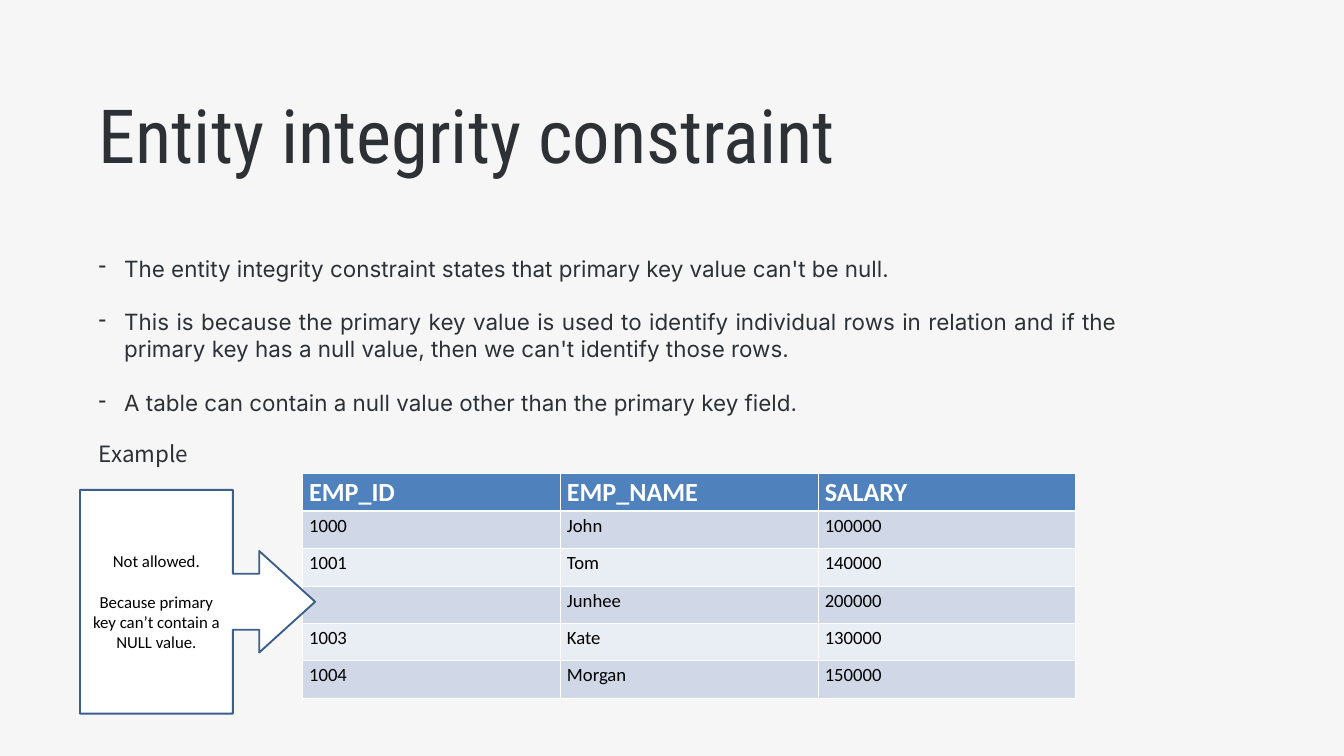
"""Build the slide that explains the entity integrity constraint."""
from dataclasses import dataclass

from lxml import etree
from pptx import Presentation
from pptx.dml.color import RGBColor
from pptx.enum.shapes import MSO_SHAPE
from pptx.enum.text import MSO_ANCHOR, MSO_AUTO_SIZE, PP_ALIGN
from pptx.oxml.ns import qn
from pptx.slide import Slide
from pptx.table import _Cell
from pptx.text.text import TextFrame, _Paragraph
from pptx.util import Inches, Pt

LEFT, CENTER, JUSTIFY = PP_ALIGN.LEFT, PP_ALIGN.CENTER, PP_ALIGN.JUSTIFY
MIDDLE = MSO_ANCHOR.MIDDLE
GROW = MSO_AUTO_SIZE.SHAPE_TO_FIT_TEXT
ARROW_CALLOUT = MSO_SHAPE.RIGHT_ARROW_CALLOUT

BACKGROUND = RGBColor(0xF6, 0xF6, 0xF6)
INK = RGBColor(0x2D, 0x31, 0x36)
BLACK = RGBColor(0x00, 0x00, 0x00)
WHITE = RGBColor(0xFF, 0xFF, 0xFF)
HEADER_BLUE = RGBColor(0x4F, 0x81, 0xBD)
BAND_DARK = RGBColor(0xD0, 0xD8, 0xE8)
BAND_LIGHT = RGBColor(0xE9, 0xED, 0xF4)
OUTLINE_BLUE = RGBColor(0x3A, 0x5F, 0x8C)

TITLE_FONT, BODY_FONT = "Roboto Condensed", "Inter"
EXAMPLE_FONT, TABLE_FONT = "Noto Sans CJK KR", "Calibri"
INDENT = Inches(0.38)


@dataclass(frozen=True)
class Box:
    """Position and size in inches."""

    left: float
    top: float
    width: float
    height: float

    def lengths(self) -> tuple[Inches, ...]:
        """Return the four values as lengths."""
        return tuple(Inches(v) for v in (self.left, self.top, self.width, self.height))


TITLE_BOX = Box(1.37, 1.28, 13.13, 1.45)
BODY_BOX = Box(1.37, 3.74, 15.34, 3.33)
TABLE_BOX = Box(4.5, 7.04, 11.51, 3.34)
CALLOUT_BOX = Box(1.19, 7.29, 3.5, 3.33)
CALLOUT_ADJUSTMENTS = (0.25, 0.227, 0.25, 0.65)

BULLETS = (
    "The entity integrity constraint states that primary key value can't be null.",
    "This is because the primary key value is used to identify individual rows in "
    "relation and if the primary key has a null value, then we can't identify those rows.",
    "A table can contain a null value other than the primary key field.",
)
EMPLOYEES = (
    ("EMP_ID", "EMP_NAME", "SALARY"),
    ("1000", "John", "100000"),
    ("1001", "Tom", "140000"),
    ("", "Junhee", "200000"),
    ("1003", "Kate", "130000"),
    ("1004", "Morgan", "150000"),
)
NOTES = ("Not allowed.", "Because primary key can’t contain a NULL value.")


def write(frame: TextFrame, text: str, *, font: str, size: float, color: RGBColor = INK,
          bold: bool = False, align: PP_ALIGN = LEFT, before: float = 0) -> _Paragraph:
    """Write a formatted paragraph, reusing the first one while it is empty."""
    first = frame.paragraphs[0]
    paragraph = frame.add_paragraph() if first.runs else first
    paragraph.alignment = align
    paragraph.space_before = Pt(before)
    run = paragraph.add_run()
    run.text = text
    run.font.name = font
    run.font.size = Pt(size)
    run.font.bold = bold
    run.font.color.rgb = color
    return paragraph


def add_dash(paragraph: _Paragraph) -> None:
    """Give a paragraph a hanging dash bullet."""
    properties = paragraph._p.get_or_add_pPr()
    properties.set("marL", str(INDENT))
    properties.set("indent", str(-INDENT))
    etree.SubElement(properties, qn("a:buChar"), char="-")


def add_text_box(slide: Slide, box: Box) -> TextFrame:
    """Add a wrapping text box that grows with its text."""
    frame = slide.shapes.add_textbox(*box.lengths()).text_frame
    frame.word_wrap = True
    frame.auto_size = GROW
    return frame


def style_cell(cell: _Cell, fill: RGBColor, top: float, bottom: float) -> None:
    """Set white borders and a solid fill on a cell."""
    properties = cell._tc.get_or_add_tcPr()
    for side, width in (("L", 1), ("R", 1), ("T", top), ("B", bottom)):
        line = etree.SubElement(properties, qn(f"a:ln{side}"), w=str(Pt(width)))
        solid = etree.SubElement(line, qn("a:solidFill"))
        etree.SubElement(solid, qn("a:srgbClr"), val=str(WHITE))
    cell.fill.solid()
    cell.fill.fore_color.rgb = fill


def add_employee_table(slide: Slide) -> None:
    """Add the banded employee table."""
    table = slide.shapes.add_table(
        len(EMPLOYEES), len(EMPLOYEES[0]), *TABLE_BOX.lengths()).table
    table.horz_banding = False
    for row, values in enumerate(EMPLOYEES):
        header = row == 0
        fill = HEADER_BLUE if header else BAND_DARK if row % 2 else BAND_LIGHT
        for column, value in enumerate(values):
            cell = table.cell(row, column)
            style_cell(cell, fill, top=3 if row == 1 else 1, bottom=3 if header else 1)
            if value:
                write(cell.text_frame, value, font=TABLE_FONT, size=28 if header else 20,
                      color=WHITE if header else BLACK, bold=header)


def add_callout(slide: Slide) -> None:
    """Add the arrow callout that points at the missing key."""
    shape = slide.shapes.add_shape(ARROW_CALLOUT, *CALLOUT_BOX.lengths())
    shape.shadow.inherit = False
    for index, value in enumerate(CALLOUT_ADJUSTMENTS):
        shape.adjustments[index] = value
    shape.fill.solid()
    shape.fill.fore_color.rgb = WHITE
    shape.line.color.rgb = OUTLINE_BLUE
    shape.line.width = Pt(2)
    frame = shape.text_frame
    frame.word_wrap = True
    frame.vertical_anchor = MIDDLE
    for index, note in enumerate(NOTES):
        write(frame, note, font=TABLE_FONT, size=18, color=BLACK, align=CENTER,
              before=22 if index else 0)


def main() -> None:
    """Build and save the presentation."""
    presentation = Presentation()
    presentation.slide_width, presentation.slide_height = Inches(20), Inches(11.25)
    slide = presentation.slides.add_slide(presentation.slide_layouts[6])
    slide.background.fill.solid()
    slide.background.fill.fore_color.rgb = BACKGROUND

    title = add_text_box(slide, TITLE_BOX)
    write(title, "Entity integrity constraint", font=TITLE_FONT, size=80)
    body = add_text_box(slide, BODY_BOX)
    for index, bullet in enumerate(BULLETS):
        add_dash(write(body, bullet, font=BODY_FONT, size=24, align=JUSTIFY,
                       before=29 if index else 0))
    write(body, "Example", font=EXAMPLE_FONT, size=24, before=26)

    add_employee_table(slide)
    add_callout(slide)
    presentation.save("out.pptx")


if __name__ == "__main__":
    main()
